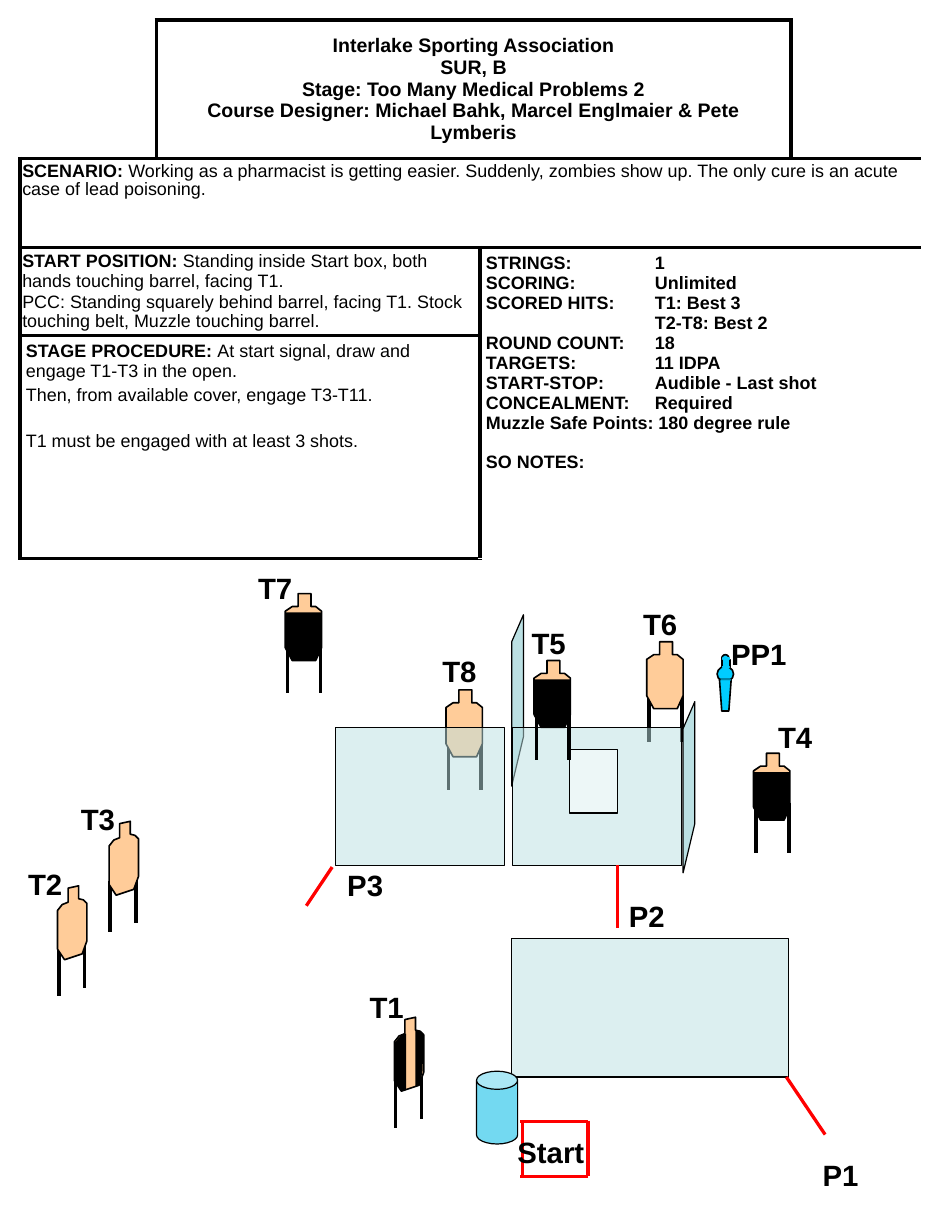
from lxml.etree import SubElement
from pptx import Presentation
from pptx.dml.color import RGBColor
from pptx.enum.shapes import MSO_CONNECTOR, MSO_SHAPE
from pptx.enum.text import MSO_ANCHOR, PP_ALIGN
from pptx.oxml.ns import qn
from pptx.util import Emu, Pt

PX = 9144
COLORS = {"ink": "000000", "paper": "FFFFFF", "red": "FF0000", "tan": "FFCC99",
          "wall": "BBE0E3", "barrel": "73D9F1", "popper": "00CCFF"}
COLS, ROWS = [116, 276, 265, 110], [118, 76, 75, 190]

FRONT = {"legs": [(2, 42), (30, 42)],
         "body": [(11, 0), (22, 0), (22, 11), (26, 11), (31, 15), (31, 46), (26, 57),
                  (6, 57), (0, 46), (0, 15), (6, 11), (11, 11)]}
ANGLED = {"legs": [(1, 51), (23, 44)],
          "body": [(9, 2), (18, 0), (18, 11), (22, 12), (25, 15), (25, 47), (21, 58),
                   (6, 63), (0, 54), (0, 21), (4, 16), (9, 14)]}
HARD_COVER = [[(0, 16), (31, 16), (31, 46), (26, 57), (6, 57), (0, 46)]]
SIDE_COVERS = [[(0, 54), (6, 63), (10, 62), (10, 14), (6, 15), (0, 22)],
               [(18, 11), (21, 11), (25, 15), (24, 46), (22, 57), (18, 59)]]
SIDE_WALL = [(0, 146), (0, 23), (10, 0), (10, 104)]

HEADER = ["Interlake Sporting Association", "SUR, B",
          "Stage: Too Many Medical Problems 2",
          "Course Designer: Michael Bahk, Marcel Englmaier & Pete Lymberis"]
SCENARIO = [("SCENARIO: ", "Working as a pharmacist is getting easier. Suddenly, zombies "
             "show up. The only cure is an acute case of lead poisoning.")]
START = [("START POSITION: ", "Standing inside Start box, both hands touching barrel, facing T1."),
         ("", "PCC: Standing squarely behind barrel, facing T1. Stock touching belt, "
          "Muzzle touching barrel.")]
PROCEDURE = [("STAGE PROCEDURE: ", "At start signal, draw and engage T1-T3 in the open."),
             ("", "Then, from available cover, engage T3-T11."),
             ("", "T1 must be engaged with at least 3 shots.")]
SCORING = ["STRINGS:\t1", "SCORING:\tUnlimited", "SCORED HITS:\tT1: Best 3", "\tT2-T8: Best 2",
           "ROUND COUNT:\t18", "TARGETS:\t11 IDPA", "START-STOP:\tAudible - Last shot",
           "CONCEALMENT:\tRequired", "Muzzle Safe Points: 180 degree rule", "SO NOTES:"]
LABELS = {"P1": (691, 981, 58), "T1": (305, 838, 58), "P2": (526, 761, 58), "T2": (14, 733, 58),
          "T3": (59, 678, 58), "T4": (653, 608, 51), "T5": (443, 528, 58), "T6": (538, 512, 58),
          "T7": (210, 481, 58), "T8": (367, 552, 58), "Start": (431, 962, 94),
          "P3": (286, 734, 58), "PP1": (613, 537, 73)}


def px(n):
    """Turn px into EMU."""
    return Emu(n * PX)


def rgb(name):
    """Look up a colour by name."""
    return RGBColor.from_string(COLORS[name])


def put(obj, fmt):
    """Set each format value on an object."""
    for key, value in fmt.items():
        setattr(obj, key, value)


def write(p, text, size, bold):
    """Add one formatted run to a paragraph."""
    r = p.add_run()
    r.text = text
    put(r.font, {"name": "Arial", "size": Pt(size), "bold": bold})
    r.font.color.rgb = rgb("ink")


def paint(sp, fill, line="ink", width=1.0, alpha=None):
    """Give a shape its fill, opacity and line."""
    sp.shadow.inherit = False
    sp.fill.solid()
    sp.fill.fore_color.rgb = rgb(fill)
    if alpha:
        clr = sp.fill._xPr.find(qn("a:solidFill"))[0]
        SubElement(clr, qn("a:alpha"), val=str(alpha * 1000))
    if line:
        sp.line.color.rgb = rgb(line)
        sp.line.width = Pt(width)
    else:
        sp.line.fill.background()


def shape(shapes, kind, box, fill, **style):
    """Add a painted preset shape."""
    sp = shapes.add_shape(kind, *map(px, box))
    paint(sp, fill, **style)
    return sp


def outline(shapes, x, y, points, fill, **style):
    """Add a closed outline whose points are relative to x, y."""
    pts = [(x + dx, y + dy) for dx, dy in points]
    fb = shapes.build_freeform(*pts[0], scale=float(PX))
    fb.add_line_segments(pts[1:], close=True)
    paint(fb.convert_to_shape(), fill, **style)


def line(shapes, x1, y1, x2, y2, color="red", width=2):
    """Add a straight line without a shadow."""
    cx = shapes.add_connector(MSO_CONNECTOR.STRAIGHT, *map(px, (x1, y1, x2, y2)))
    cx.line.color.rgb = rgb(color)
    cx.line.width = Pt(width)
    SubElement(cx._element.spPr, qn("a:effectLst"))


def target(s, x, y, kind=FRONT, covers=()):
    """Add a grouped target on two legs, with any black covers."""
    shapes = s.shapes.add_group_shape().shapes
    for dx, dy in kind["legs"]:
        line(shapes, x + dx, y + dy, x + dx, y + dy + 43, "ink", 2.25)
    outline(shapes, x, y, kind["body"], "tan")
    for cover in covers:
        outline(shapes, x, y, cover, "ink", line=None)


def label(s, text, x, y, w):
    """Add a bold label."""
    tf = s.shapes.add_textbox(px(x), px(y), px(w), px(40)).text_frame
    tf.word_wrap = True
    write(tf.paragraphs[0], text, 18, True)


def border(cell, sides):
    """Draw the given sides of a cell and fill it."""
    tcPr = cell._tc.get_or_add_tcPr()
    for side in ("L", "R", "T", "B"):
        if side in sides:
            ln = SubElement(tcPr, qn("a:ln" + side), w=str(Pt(2.25)))
            SubElement(SubElement(ln, qn("a:solidFill")), qn("a:srgbClr"), val=COLORS["ink"])
    cell.fill.solid()
    cell.fill.fore_color.rgb = rgb("paper")


def block(tbl, row, col, rows, cols):
    """Merge a block of cells and frame its outer edge."""
    last_row, last_col = row + rows - 1, col + cols - 1
    for i in range(row, last_row + 1):
        for j in range(col, last_col + 1):
            edges = {"L": j == col, "R": j == last_col, "T": i == row, "B": i == last_row}
            border(tbl.cell(i, j), [k for k, on in edges.items() if on])
    cell = tbl.cell(row, col)
    cell.merge(tbl.cell(last_row, last_col))
    return cell


def fill_cell(cell, paras, inset, size=11, gap=0.0, **fmt):
    """Write paragraphs of a bold lead and a plain rest into a cell."""
    mx, my = inset
    put(cell, {"margin_left": px(mx), "margin_right": px(mx),
               "margin_top": px(my), "margin_bottom": px(my)})
    tf = cell.text_frame
    for i, para in enumerate(paras):
        p = tf.add_paragraph() if i else tf.paragraphs[0]
        lead, rest = (para, "") if isinstance(para, str) else para
        put(p, {"space_before": Pt(gap if i else 0), **fmt})
        for text, bold in ((lead, True), (rest, False)):
            if text:
                write(p, text, size, bold)
        if "\t" in lead:
            tabs = SubElement(p._p.get_or_add_pPr(), qn("a:tabLst"))
            SubElement(tabs, qn("a:tab"), pos=str(px(144)), algn="l")
    return tf.paragraphs


def briefing(s):
    """Add the stage description table."""
    box = map(px, (17, 17, sum(COLS), sum(ROWS)))
    tbl = s.shapes.add_table(len(ROWS), len(COLS), *box).table
    put(tbl, {"first_row": False, "horz_banding": False})
    for col, w in zip(tbl.columns, COLS):
        col.width = px(w)
    for row, h in zip(tbl.rows, ROWS):
        row.height = px(h)
    border(tbl.cell(0, 0), "RB")
    border(tbl.cell(0, 3), "LB")
    head = block(tbl, 0, 1, 1, 2)
    head.vertical_anchor = MSO_ANCHOR.MIDDLE
    fill_cell(head, HEADER, (7, 5), size=12, alignment=PP_ALIGN.CENTER)
    fill_cell(block(tbl, 1, 0, 1, 4), SCENARIO, (2, 4), line_spacing=0.9)
    fill_cell(block(tbl, 2, 0, 1, 2), START, (2, 3), gap=0.5)
    steps = fill_cell(block(tbl, 3, 0, 1, 2), PROCEDURE, (5, 5), gap=2.2)
    steps[-1].space_before = Pt(16.5)
    notes = fill_cell(block(tbl, 2, 2, 2, 2), SCORING, (5, 5))
    notes[-1].space_before = Pt(12)


def popper(s):
    """Add the grouped popper."""
    shapes = s.shapes.add_group_shape().shapes
    for box in ((615, 558, 6, 6), (611, 568, 14, 13)):
        shape(shapes, MSO_SHAPE.OVAL, box, "popper")
    outline(shapes, 613, 579, [(0, 0), (10, 0), (8, 27), (2, 27)], "popper")
    shape(shapes, MSO_SHAPE.RECTANGLE, (615, 562, 7, 7), "popper")
    for box, edge in (((614, 579, 9, 1), None), ((616, 568, 5, 1), "popper"),
                      ((616, 561, 5, 1), "popper")):
        shape(shapes, MSO_SHAPE.RECTANGLE, box, "popper", line=edge)


def wall(shapes, box, fill="wall"):
    """Add a half-transparent wall or window."""
    shape(shapes, MSO_SHAPE.RECTANGLE, box, fill, width=0.75, alpha=50)


def course(s):
    """Add walls, targets, barrel, start box and firing lines."""
    wall(s.shapes, (436, 800, 236, 118))
    target(s, 49, 755, ANGLED)
    target(s, 93, 700, ANGLED)
    target(s, 551, 547)
    target(s, 380, 588)
    outline(s.shapes, 436, 524, SIDE_WALL, "wall", width=0.75)
    wall(s.shapes, (286, 620, 144, 118))
    room = s.shapes.add_group_shape().shapes
    wall(room, (437, 620, 144, 118))
    wall(room, (485, 639, 41, 54), "paper")
    for x, y in ((243, 506), (455, 563), (642, 642)):
        target(s, x, y, FRONT, HARD_COVER)
    outline(s.shapes, 582, 598, SIDE_WALL, "wall", width=0.75)
    target(s, 336, 867, ANGLED, SIDE_COVERS)
    for ends in ((703, 967, 670, 918), (526, 737, 526, 791), (283, 739, 261, 772),
                 (501, 956, 443, 956), (501, 955, 501, 1002),
                 (445, 955, 445, 1002), (501, 1003, 443, 1003)):
        line(s.shapes, *ends)
    can = shape(s.shapes, MSO_SHAPE.CAN, (406, 913, 35, 62), "barrel", width=0.75)
    can.adjustments[0] = 0.44
    popper(s)


def main():
    """Build the stage sheet."""
    prs = Presentation()
    put(prs, {"slide_width": px(800), "slide_height": px(1050)})
    s = prs.slides.add_slide(prs.slide_layouts[6])
    briefing(s)
    course(s)
    for text, place in LABELS.items():
        label(s, text, *place)
    prs.save("out.pptx")


if __name__ == "__main__":
    main()
